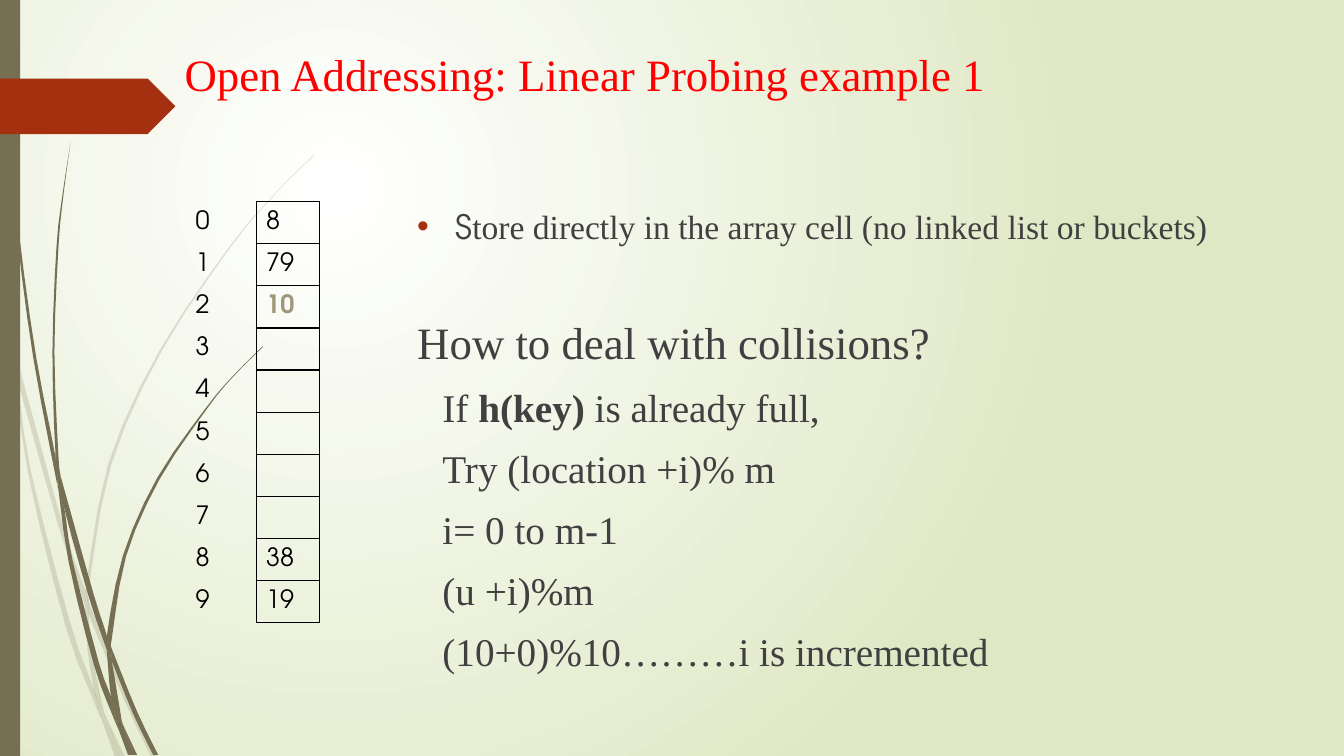
from dataclasses import dataclass

from lxml import etree
from pptx import Presentation
from pptx.dml.color import RGBColor
from pptx.enum.shapes import MSO_SHAPE
from pptx.enum.text import MSO_ANCHOR, PP_ALIGN
from pptx.oxml.ns import qn
from pptx.util import Inches, Pt

RECTANGLE, ARROW_TAG = MSO_SHAPE.RECTANGLE, MSO_SHAPE.PENTAGON
MIDDLE, LEFT = MSO_ANCHOR.MIDDLE, PP_ALIGN.LEFT


@dataclass(frozen=True)
class Theme:
    serif: str = "Times New Roman"
    sans: str = "TeX Gyre Adventor"
    title: str = "FF0000"
    body: str = "404040"
    ink: str = "000000"
    inserted: str = "9F9778"
    stem: str = "766F54"
    accent: str = "A53010"
    glow: str = "FFFFFF"
    backdrop: str = "DFE8C4"
    heading_size: int = 32
    step_size: int = 28
    bullet_size: int = 24
    cell_size: int = 18


THEME = Theme()
TITLE = "Open Addressing: Linear Probing example 1"
STORAGE = ("S", "tore directly in the array cell (no linked list or buckets)")
QUESTION = "How to deal with collisions?"
STEPS = [
    [("If ", False), ("h(key)", True), (" is already full,", False)],
    [("Try (location +i)% m", False)],
    [("i= 0 to m-1", False)],
    [("(u +i)%m", False)],
    [("(10+0)%10………i is incremented", False)],
]
HASH_TABLE = ["8", "79", "10", "", "", "", "", "", "38", "19"]
INSERTED_KEY = "10"

PALE_BLADES = [
    ([(0, 2.82), (.09, 3.22), (.11, 3.5)], [(0, 2.99), (.1, 3.44), (.11, 3.5)]),
    ([(.14, 3.45), (.62, 5.2), (.85, 5.86)], [(.17, 3.76), (.58, 5.22), (.84, 5.99)]),
    ([(.88, 5.96), (.92, 6.07), (1.27, 6.92), (1.55, 7.51)], [(.88, 6.1), (1.23, 6.94), (1.5, 7.51)]),
    ([(1.05, 7.11), (1.24, 7.51)], [(1.05, 7.11), (1.19, 7.51)]),
    ([(.11, 3.5), (.17, 3.76), (.31, 4.69), (.7, 6.19), (.93, 6.83), (.99, 7.07), (1.01, 7.14)],
     [(.11, 3.5), (.28, 4.7), (.65, 6.21), (.92, 6.93), (1.01, 7.14)]),
    ([(.84, 5.99), (.88, 6.08), (.88, 6.1), (.91, 6.46), (1.03, 7.06), (1.05, 7.11)],
     [(.84, 5.99), (.87, 6.46), (.93, 6.83), (.96, 6.92), (1.05, 7.11)]),
    ([(3.12, 1.53), (2.89, 1.75), (2.68, 1.97), (2.28, 2.44), (1.58, 3.48), (1.07, 4.61), (.85, 5.84), (.85, 5.86)],
     [(3.12, 1.54), (2.9, 1.75), (2.68, 1.98), (2.29, 2.45), (1.6, 3.49), (1.1, 4.62), (.88, 5.84), (.88, 5.96)]),
    ([(1.01, 7.14), (1.19, 7.51)], [(1.01, 7.14), (1.14, 7.51)]),
    ([(.85, 5.86), (.88, 5.96), (.88, 6.1)], [(.84, 5.99), (.88, 6.08), (.88, 6.1)]),
    ([(.93, 6.83), (.96, 6.92), (1.05, 7.11), (1.19, 7.51)], [(.93, 6.83), (.99, 7.07), (1.01, 7.14), (1.19, 7.51)]),
]
DARK_BLADES = [
    ([(.04, 0), (.05, .48), (.08, 1.09), (.19, 2.32), (.36, 3.55), (.55, 4.53), (.57, 4.81)],
     [(.03, 0), (.04, .48), (.07, 1.1), (.17, 2.33), (.33, 3.55), (.56, 4.77), (.57, 4.81)]),
    ([(.6, 4.72), (.93, 5.9), (1.06, 6.31), (1.06, 6.45)], [(.6, 4.72), (.64, 5.05), (.88, 5.92), (1.06, 6.45)]),
    ([(1.1, 6.41), (1.13, 6.49), (1.36, 7.06), (1.57, 7.49)], [(1.11, 6.56), (1.32, 7.08), (1.52, 7.49)]),
    ([(.57, 4.77), (.64, 5.05), (.72, 5.56), (.98, 6.57), (1.1, 6.91), (1.16, 7.17), (1.17, 7.22)],
     [(.57, 4.77), (.68, 5.57), (.93, 6.59), (1.11, 7.08), (1.17, 7.22)]),
    ([(.7, 1.41), (.63, 1.93), (.58, 2.45), (.54, 3.49), (.58, 4.53), (.6, 4.72)],
     [(.7, 1.41), (.62, 1.93), (.56, 2.45), (.52, 3.49), (.55, 4.49), (.6, 4.72)]),
    ([(1.22, 7.19), (1.36, 7.49)], [(1.22, 7.19), (1.33, 7.49)]),
    ([(.55, 4.49), (.6, 4.72), (.64, 5.05)], [(.55, 4.53), (.57, 4.77), (.64, 5.05)]),
    ([(2.6, 3.44), (2.31, 3.73), (2.04, 4.05), (1.56, 4.74), (1.22, 5.51), (1.06, 6.31), (1.1, 6.41)],
     [(2.61, 3.44), (2.31, 3.74), (2.05, 4.06), (1.58, 4.76), (1.25, 5.52), (1.11, 6.33), (1.1, 6.41)]),
    ([(1.17, 7.22), (1.31, 7.49)], [(1.17, 7.22), (1.27, 7.49)]),
    ([(1.06, 6.45), (1.09, 6.51), (1.11, 6.56), (1.21, 7.16), (1.22, 7.19)],
     [(1.06, 6.45), (1.1, 6.91), (1.16, 7.06), (1.22, 7.19)]),
    ([(1.06, 6.31), (1.1, 6.41), (1.11, 6.56)], [(1.06, 6.45), (1.09, 6.51), (1.11, 6.56)]),
    ([(1.1, 6.91), (1.16, 7.06), (1.22, 7.19), (1.33, 7.49)], [(1.1, 6.91), (1.16, 7.17), (1.17, 7.22), (1.3, 7.49)]),
]


def paint(shape, color, opacity=100):
    shape.shadow.inherit = False
    shape.fill.solid()
    shape.fill.fore_color.rgb = RGBColor.from_string(color)
    shape.line.fill.background()
    if opacity < 100:
        tint = next(shape._element.spPr.iter(qn("a:srgbClr")))
        etree.SubElement(tint, qn("a:alpha"), val=str(opacity * 1000))


def add_run(paragraph, text, size, font, color, bold=False):
    run = paragraph.add_run()
    run.text = text
    run.font.size, run.font.name, run.font.bold = Pt(size), font, bold
    run.font.color.rgb = RGBColor.from_string(color)


def smooth(points, pieces=3):
    padded = [points[0], *points, points[-1]]
    return [tuple(q + t * ((r - p) + t * ((2 * p - 5 * q + 4 * r - s) + t * (3 * q - p - 3 * r + s))) / 2
                  for p, q, r, s in zip(a, b, c, d))
            for a, b, c, d in zip(padded, padded[1:], padded[2:], padded[3:])
            for t in (i / pieces for i in range(pieces))] + [points[-1]]


def add_backdrop(slide, height):
    fill = slide.background.fill
    fill.gradient()
    for stop, color in zip(fill.gradient_stops, (THEME.glow, THEME.backdrop)):
        stop.color.rgb = RGBColor.from_string(color)
    gradient = next(slide.element.iter(qn("a:gradFill")))
    gradient.remove(gradient.find(qn("a:lin")))
    circle = etree.Element(qn("a:path"), path="circle")
    etree.SubElement(circle, qn("a:fillToRect"), l="50000", t="50000", r="100000", b="100000")
    gradient.find(qn("a:gsLst")).addnext(circle)
    for blades, opacity in ((PALE_BLADES, 20), (DARK_BLADES, 100)):
        for near, far in blades:
            outline = [(Inches(x), Inches(y)) for x, y in smooth(near) + smooth(far)[::-1]]
            builder = slide.shapes.build_freeform(*outline[0])
            builder.add_line_segments(outline[1:], close=True)
            paint(builder.convert_to_shape(), THEME.stem, opacity)
    paint(slide.shapes.add_shape(RECTANGLE, 0, 0, Inches(0.2), height), THEME.stem)
    tag = slide.shapes.add_shape(ARROW_TAG, 0, Inches(0.78), Inches(1.74), Inches(0.55))
    paint(tag, THEME.accent)


def add_title(slide):
    title = slide.shapes.title
    title.left, title.top, title.width, title.height = map(Inches, (1.73, 0.4, 10.69, 0.66))
    title.text_frame.vertical_anchor = MIDDLE
    heading = title.text_frame.paragraphs[0]
    heading.alignment = LEFT
    add_run(heading, TITLE, THEME.heading_size, THEME.serif, THEME.title)


def add_explanation(slide):
    frame = slide.shapes.add_textbox(*map(Inches, (4.04, 1.99, 8.37, 4.76))).text_frame
    frame.word_wrap = True
    storage = frame.paragraphs[0]
    props = storage._p.get_or_add_pPr()
    props.set("marL", str(Inches(0.38)))
    props.set("indent", str(-Inches(0.38)))
    bullet_color = etree.SubElement(props, qn("a:buClr"))
    etree.SubElement(bullet_color, qn("a:srgbClr"), val=THEME.accent)
    etree.SubElement(props, qn("a:buFont"), typeface="Arial")
    etree.SubElement(props, qn("a:buChar"), char="•")
    for text, font in zip(STORAGE, (THEME.sans, THEME.serif)):
        add_run(storage, text, THEME.bullet_size, font, THEME.body)
    question = frame.add_paragraph()
    question.space_before = Pt(49.5)
    add_run(question, QUESTION, THEME.heading_size, THEME.serif, THEME.body)
    for parts in STEPS:
        step = frame.add_paragraph()
        step.space_before = Pt(10)
        step._p.get_or_add_pPr().set("marL", str(Inches(0.25)))
        for text, bold in parts:
            add_run(step, text, THEME.step_size, THEME.serif, THEME.body, bold)


def add_hash_table(slide):
    widths, height = (0.7, 0.63), 4.18
    place = map(Inches, (1.84, 2, sum(widths), height))
    table = slide.shapes.add_table(len(HASH_TABLE), len(widths), *place).table
    table.first_row = table.horz_banding = False
    table._tbl.tblPr.find(qn("a:tableStyleId")).text = "{2D5ABB26-0587-4C30-8999-92F81FD0307C}"
    for column, width in zip(table.columns, widths):
        column.width = Inches(width)
    for index, key in enumerate(HASH_TABLE):
        for column, text in enumerate((str(index), key)):
            cell = table.cell(index, column)
            cell.fill.background()
            cell.vertical_anchor = MIDDLE
            inserted = column == 1 and text == INSERTED_KEY
            if text:
                add_run(cell.text_frame.paragraphs[0], text, THEME.cell_size, THEME.sans,
                        THEME.inserted if inserted else THEME.ink, inserted)
            for position, side in enumerate(("lnL", "lnR", "lnT", "lnB") if column else ()):
                line = etree.Element(qn(f"a:{side}"), w=str(Pt(1)))
                solid = etree.SubElement(line, qn("a:solidFill"))
                etree.SubElement(solid, qn("a:srgbClr"), val=THEME.ink)
                cell._tc.get_or_add_tcPr().insert(position, line)


deck = Presentation()
deck.slide_width, deck.slide_height = Inches(13.33), Inches(7.5)
slide = deck.slides.add_slide(deck.slide_layouts[5])
add_backdrop(slide, deck.slide_height)
add_title(slide)
add_explanation(slide)
add_hash_table(slide)
deck.save("out.pptx")
